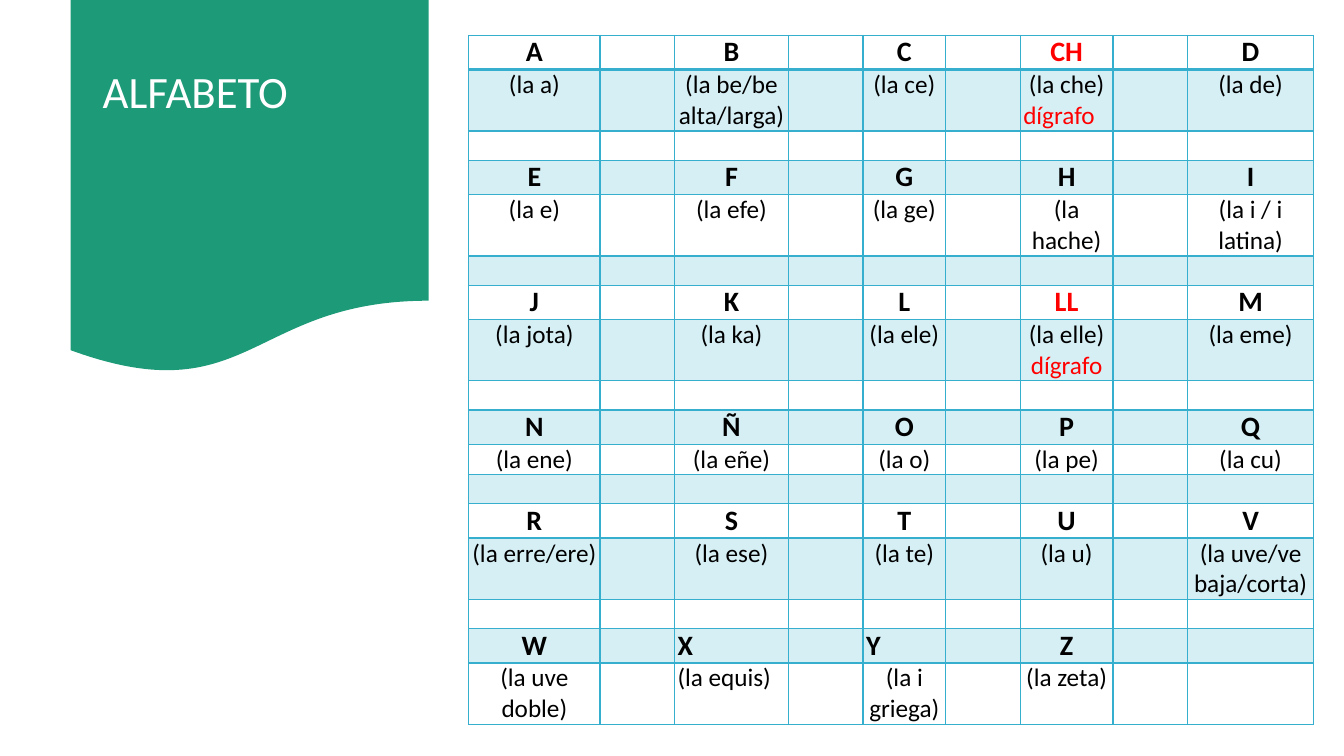
from lxml import etree
from pptx import Presentation
from pptx import util as u
from pptx.dml.color import RGBColor
from pptx.enum import shapes, text
from pptx.oxml import ns

GREEN, TEAL, RED, BLACK, WHITE = "1D9A78", "36AFCE", "FF0000", "000000", "FFFFFF"


def style_font(font, size, color, bold=False):
    font.name = "Calibri"
    font.size = u.Pt(size)
    font.bold = bold
    font.color.rgb = RGBColor.from_string(color)


def add_border(cell, side, points):
    line = etree.SubElement(cell._tc.get_or_add_tcPr(), ns.qn(f"a:ln{side}"), w=str(u.Pt(points)))
    fill = etree.SubElement(line, ns.qn("a:solidFill"))
    etree.SubElement(fill, ns.qn("a:srgbClr"), val=TEAL)


presentation = Presentation()
presentation.slide_width = u.Inches(13.33)
presentation.slide_height = u.Inches(7.5)
slide = presentation.slides.add_slide(presentation.slide_layouts[6])

banner = slide.shapes.add_shape(
    shapes.MSO_SHAPE.FLOWCHART_DOCUMENT, u.Inches(0.7), 0, u.Inches(3.55), u.Inches(3.72))
banner.shadow.inherit = False
banner.fill.solid()
banner.fill.fore_color.rgb = RGBColor.from_string(GREEN)
banner.line.fill.background()

title = slide.shapes.add_textbox(u.Inches(0.92), u.Inches(0.19), u.Inches(3.11), u.Inches(2.59))
title_frame = title.text_frame
title_frame.word_wrap = True
title_frame.margin_top = u.Inches(0.5)
title_frame.text = "ALFABETO"
title_frame.paragraphs[0].line_spacing = 0.9
style_font(title_frame.paragraphs[0].runs[0].font, 32, WHITE)

alphabet = [
    (["A", "B", "C", "CH", "D"],
     ["(la a)", "(la be/be alta/larga)", "(la ce)", "(la che)\ndígrafo", "(la de)"]),
    (["E", "F", "G", "H", "I"],
     ["(la e)", "(la efe)", "(la ge)", "(la hache)", "(la i / i latina)"]),
    (["J", "K", "L", "LL", "M"],
     ["(la jota)", "(la ka)", "(la ele)", "(la elle)\ndígrafo", "(la eme)"]),
    (["N", "Ñ", "O", "P", "Q"],
     ["(la ene)", "(la eñe)", "(la o)", "(la pe)", "(la cu)"]),
    (["R", "S", "T", "U", "V"],
     ["(la erre/ere)", "(la ese)", "(la te)", "(la u)", "(la uve/ve baja/corta)"]),
    (["W", "X", "Y", "Z", ""],
     ["(la uve doble)", "(la equis)", "(la i griega)", "(la zeta)", ""]),
]
rows = []
for letters, names in alphabet:
    rows += [letters, names, [""] * 5]
rows.pop()

column_widths = [1.3, 0.74, 1.13, 0.74, 0.82, 0.74, 0.92, 0.74, 1.25]
row_heights = [0.34, 0.61, 0.29] * 5 + [0.34, 0.61]
row_heights[10] = 0.3
red_texts = {"CH", "LL", "dígrafo"}
left_texts = {(1, "dígrafo"), (15, "X"), (15, "Y"), (16, "(la equis)")}

table = slide.shapes.add_table(
    len(rows), len(column_widths), u.Inches(4.65), u.Inches(0.35),
    u.Inches(sum(column_widths)), u.Inches(sum(row_heights))).table
table.first_row = False
table.horz_banding = False
for column, width in zip(table.columns, column_widths):
    column.width = u.Inches(width)

for row_index, height in enumerate(row_heights):
    table.rows[row_index].height = u.Inches(height)
    is_letter_row = row_index % 3 == 0
    for column_index in range(len(column_widths)):
        cell = table.cell(row_index, column_index)
        cell.margin_left = cell.margin_right = u.Inches(0.03)
        cell.margin_top = cell.margin_bottom = 0
        for side in "LRTB":
            is_header_edge = (row_index, side) in ((0, "B"), (1, "T"))
            add_border(cell, side, 2 if is_header_edge else 1)
        if row_index % 2:
            cell.fill.solid()
            cell.fill.fore_color.rgb = RGBColor.from_string(TEAL)
            color_element = cell._tc.tcPr.find(ns.qn("a:solidFill"))[0]
            etree.SubElement(color_element, ns.qn("a:alpha"), val="20000")
        else:
            cell.fill.background()

        content = "" if column_index % 2 else rows[row_index][column_index // 2]
        if not content:
            etree.SubElement(cell.text_frame.paragraphs[0]._p, ns.qn("a:endParaRPr"), sz="1000")
            continue
        cell.text_frame.text = content
        for paragraph in cell.text_frame.paragraphs:
            is_left = (row_index, paragraph.text) in left_texts
            paragraph.alignment = text.PP_ALIGN.LEFT if is_left else text.PP_ALIGN.CENTER
            color = RED if paragraph.text in red_texts else BLACK
            style_font(paragraph.runs[0].font, 20 if is_letter_row else 18, color, is_letter_row)

presentation.save("out.pptx")
